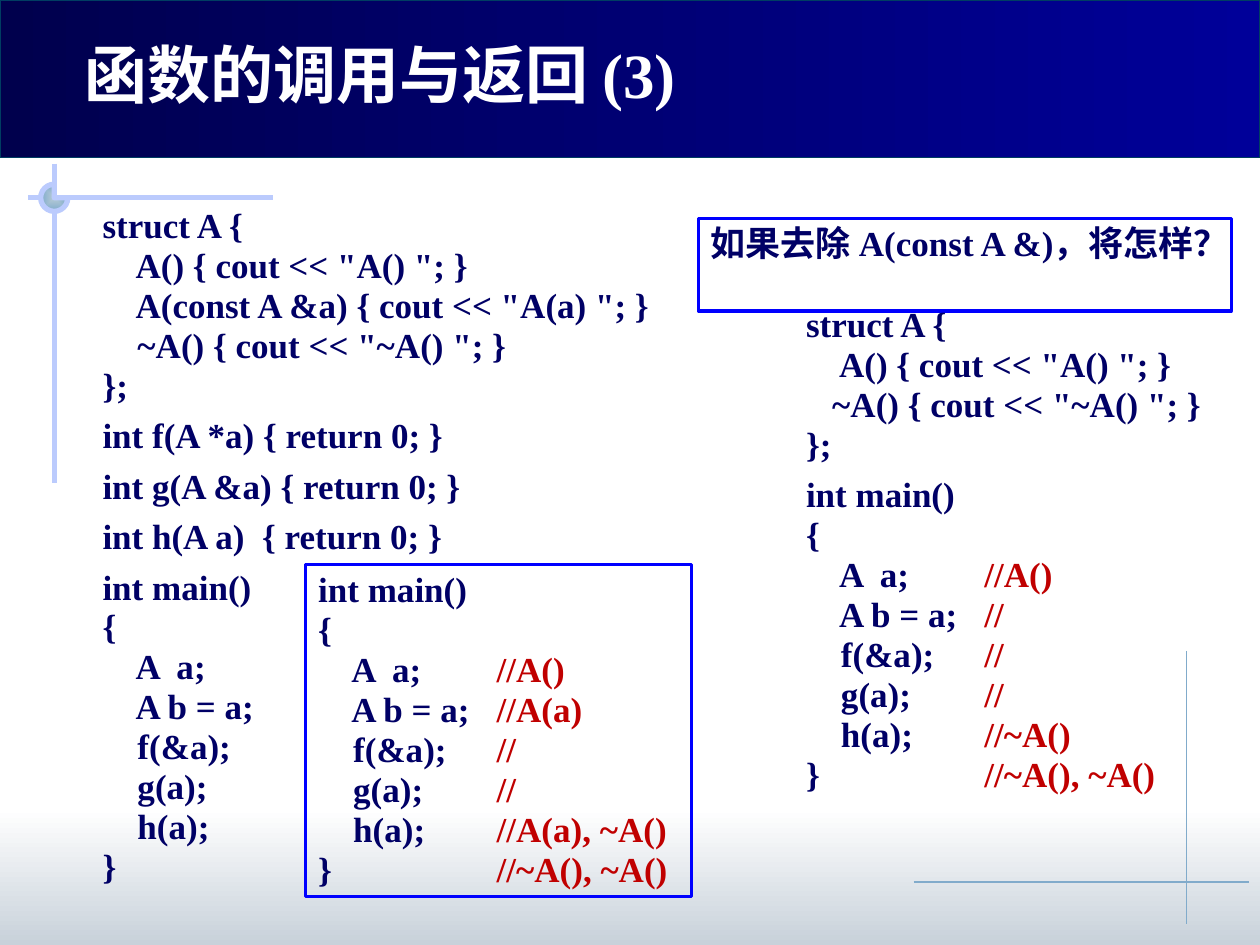
from lxml import etree
from pptx import Presentation
from pptx.dml.color import RGBColor
from pptx.enum.shapes import MSO_CONNECTOR, MSO_SHAPE
from pptx.enum.text import MSO_ANCHOR, PP_ALIGN
from pptx.oxml.ns import qn
from pptx.util import Pt

STRAIGHT = MSO_CONNECTOR.STRAIGHT
RECTANGLE = MSO_SHAPE.RECTANGLE
PIE = MSO_SHAPE.PIE
TOP = MSO_ANCHOR.TOP
LEFT = PP_ALIGN.LEFT

COLORS = {
    "white": "FFFFFF",
    "mist": "C8D1DA",
    "band_dark": "00004D",
    "band_light": "000099",
    "band_edge": "003D62",
    "lavender": "BBCBFD",
    "steel": "81ABCB",
    "pale_steel": "B6CBD6",
    "frame": "0000FF",
    "code": "000066",
    "comment": "C00000",
}
FONT = "Times New Roman"
CODE_SIZE = 20
COMMENT_COLUMN = 102

CONSTRUCTOR = '    A() { cout << "A() "; }'
STATEMENTS = ["    A  a;", "    A b = a;", "    f(&a);", "    g(a);", "    h(a);", "}"]
FUNCTIONS = [
    "int f(A *a) { return 0; }",
    "int g(A &a) { return 0; }",
    "int h(A a)  { return 0; }",
]
FULL_STRUCT = [
    "struct A {",
    CONSTRUCTOR,
    '    A(const A &a) { cout << "A(a) "; }',
    '    ~A() { cout << "~A() "; }',
    "};",
]
SHORT_STRUCT = ["struct A {", CONSTRUCTOR, '   ~A() { cout << "~A() "; }', "};"]
WITH_COPY = ["//A()", "//A(a)", "//", "//", "//A(a), ~A()", "//~A(), ~A()"]
WITHOUT_COPY = ["//A()", "//", "//", "//", "//~A()", "//~A(), ~A()"]


def color(name):
    return RGBColor.from_string(COLORS[name])


def set_line(shape, name, width):
    shape.line.color.rgb = color(name)
    shape.line.width = Pt(width)


def add_gradient_shape(page, kind, bounds, start, end, angle=0):
    shape = page.shapes.add_shape(kind, *map(Pt, bounds))
    shape.shadow.inherit = False
    shape.fill.gradient()
    shape.fill.gradient_angle = angle
    for stop, name in zip(shape.fill.gradient_stops, (start, end)):
        stop.color.rgb = color(name)
    shape.line.fill.background()
    return shape


def center_gradient(shape):
    """Make the gradient run from the edges to the centre."""
    gradient = shape._element.spPr.find(qn("a:gradFill"))
    gradient.remove(gradient.find(qn("a:lin")))
    route = etree.SubElement(gradient, qn("a:path"), path="rect")
    etree.SubElement(route, qn("a:fillToRect"), l="50000", t="50000", r="50000", b="50000")


def add_rule(page, ends, name, width):
    rule = page.shapes.add_connector(STRAIGHT, *map(Pt, ends))
    set_line(rule, name, width)
    etree.SubElement(rule._element.spPr, qn("a:effectLst"))


def add_box(page, bounds, framed=False):
    if framed:
        box = page.shapes.add_shape(RECTANGLE, *map(Pt, bounds))
        box.shadow.inherit = False
        box.fill.background()
        set_line(box, "frame", 1.75)
    else:
        box = page.shapes.add_textbox(*map(Pt, bounds))
    box.text_frame.word_wrap = True
    box.text_frame.vertical_anchor = TOP
    return box.text_frame


def add_span(para, text, name, size=CODE_SIZE):
    span = para.add_run()
    span.text = text
    span.font.name = FONT
    span.font.size = Pt(size)
    span.font.bold = True
    span.font.color.rgb = color(name)


def add_tab_stop(para, position):
    stops = etree.SubElement(para._p.get_or_add_pPr(), qn("a:tabLst"))
    etree.SubElement(stops, qn("a:tab"), pos=str(Pt(position)), algn="l")


def add_code(page, bounds, lines, framed=False):
    """Write code lines; a tab separates a statement from its comment."""
    frame = add_box(page, bounds, framed)
    for index, line in enumerate(lines):
        para = frame.paragraphs[0] if index == 0 else frame.add_paragraph()
        para.alignment = LEFT
        para.line_spacing = 0.95
        # Each function starts a new group
        if index and line.startswith("int "):
            para.space_before = Pt(6)
        statement, tab, comment = line.partition("\t")
        add_span(para, statement + tab, "code")
        if comment:
            add_tab_stop(para, COMMENT_COLUMN)
            add_span(para, comment, "comment")


def main_function(comments=None):
    body = STATEMENTS
    if comments:
        body = [f"{code}\t{note}" for code, note in zip(STATEMENTS, comments)]
    return ["int main()", "{", *body]


def add_decoration(page):
    # Footer fade and corner lines
    add_gradient_shape(page, RECTANGLE, (0, 462, 720, 78), "white", "mist", 270)
    add_rule(page, (678, 372, 678, 528), "steel", 0.75)
    add_rule(page, (522, 504, 714, 504), "steel", 0.75)

    # Crossing lines with a three-quarter node
    add_rule(page, (156, 113, 16, 113), "lavender", 3)
    add_rule(page, (31, 93.5, 31, 276), "lavender", 3)
    node = add_gradient_shape(page, PIE, (23.25, 105.25, 15.5, 15.5), "pale_steel", "steel")
    center_gradient(node)
    set_line(node, "lavender", 3)

    # Title band
    band = add_gradient_shape(page, RECTANGLE, (0, 0, 720, 90), "band_dark", "band_light")
    set_line(band, "band_edge", 0.75)


def add_title(page, text):
    para = add_box(page, (41, 25, 393, 42)).paragraphs[0]
    para.line_spacing = 0.8
    add_span(para, text, "white", 36)


def main():
    deck = Presentation()
    deck.slide_width, deck.slide_height = Pt(720), Pt(540)
    page = deck.slides.add_slide(deck.slide_layouts[6])

    add_decoration(page)
    add_title(page, "函数的调用与返回 (3)")

    # Version with the copy constructor, and its trace
    add_code(page, (51.5, 114.5, 358, 397), FULL_STRUCT + FUNCTIONS + main_function())
    add_code(page, (174.75, 322.5, 220.5, 190), main_function(WITH_COPY), framed=True)

    # Question, and the version without the copy constructor
    add_code(page, (399, 124.75, 304.75, 53), ["如果去除 A(const A &)，将怎样？"], framed=True)
    add_code(page, (453.5, 171, 250.5, 287), SHORT_STRUCT + main_function(WITHOUT_COPY))

    deck.save("out.pptx")


if __name__ == "__main__":
    main()
